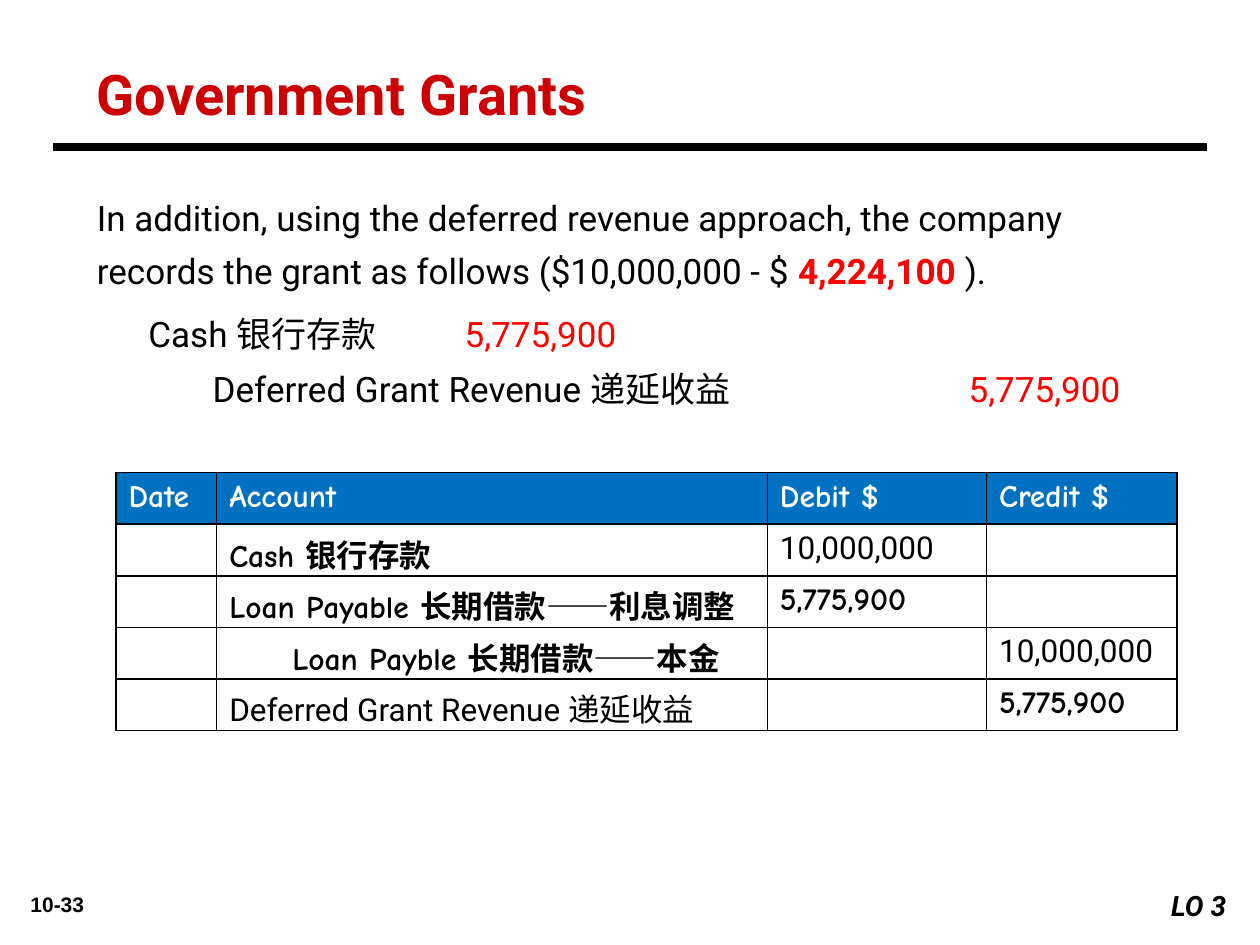
from dataclasses import dataclass

from lxml import etree
from pptx import Presentation
from pptx.dml.color import RGBColor
from pptx.enum.shapes import MSO_CONNECTOR, MSO_SHAPE
from pptx.enum.text import PP_ALIGN
from pptx.oxml.ns import qn
from pptx.util import Inches, Pt

CENTER, RIGHT = PP_ALIGN.CENTER, PP_ALIGN.RIGHT
STRAIGHT, RECTANGLE = MSO_CONNECTOR.STRAIGHT, MSO_SHAPE.RECTANGLE
COLORS = {"black": "000000", "white": "FFFFFF", "title": "CC0000",
          "amount": "FF0000", "header": "0070C0"}
BODY, TABLE_FONT, FOOTER_FONT = "Roboto", "Comic Neue", "Arial"


@dataclass
class Span:
    text: str
    color: str = "black"
    bold: bool = False


@dataclass
class Entry:
    text: str = ""
    font: str = TABLE_FONT
    level: int = 0


def rgb(name: str) -> RGBColor:
    return RGBColor.from_string(COLORS[name])


def write(para, spans: list[Span], *, size: float, font: str = BODY,
          italic: bool = False, align=None, line_spacing: float | None = None,
          space_before: float = 0, hanging: float = 0) -> None:
    props = para._p.get_or_add_pPr()
    if hanging:
        props.set("marL", str(Inches(hanging)))
        props.set("indent", str(-Inches(hanging)))
    props.set("defTabSz", str(Inches(1)))
    para.alignment = align
    para.line_spacing = line_spacing
    para.space_before = Pt(space_before)
    for span in spans:
        run = para.add_run()
        run.text = span.text
        run.font.name, run.font.size = font, Pt(size)
        run.font.bold, run.font.italic = span.bold, italic
        run.font.color.rgb = rgb(span.color)


def add_text(page, place: tuple, lines: list[list[Span]], **style) -> None:
    box = page.shapes.add_textbox(*map(Inches, place))
    frame = box.text_frame
    frame.word_wrap = True
    gap = style.pop("gap", 0)
    for index, spans in enumerate(lines):
        para = frame.add_paragraph() if index else frame.paragraphs[0]
        write(para, spans, space_before=gap if index else 0, **style)


def add_rule(page) -> None:
    rule = page.shapes.add_connector(
        STRAIGHT, Inches(0.42), Inches(1.17), Inches(9.58), Inches(1.17))
    rule.line.color.rgb = rgb("black")
    rule.line.width = Pt(4.5)
    etree.SubElement(rule._element.spPr, qn("a:effectLst"))


def add_objective(page) -> None:
    tag = page.shapes.add_shape(
        RECTANGLE, Inches(9), Inches(7), Inches(0.83), Inches(0.37))
    tag.shadow.inherit = False
    tag.fill.solid()
    tag.fill.fore_color.rgb = rgb("white")
    tag.line.fill.background()
    write(tag.text_frame.paragraphs[0], [Span("LO 3", bold=True)],
          size=16, italic=True, align=RIGHT, hanging=0.5)


def add_borders(cell) -> None:
    """Draw a one-point line on each side; lines precede the fill in tcPr."""
    props = cell._tc.get_or_add_tcPr()
    for index, side in enumerate(("lnL", "lnR", "lnT", "lnB")):
        line = etree.Element(qn(f"a:{side}"), w=str(Pt(1)))
        fill = etree.SubElement(line, qn("a:solidFill"))
        etree.SubElement(fill, qn("a:srgbClr"), val=COLORS["black"])
        props.insert(index, line)


def add_journal(page, rows: list[list[Entry]], widths: list[float],
                row_height: float) -> None:
    table = page.shapes.add_table(
        len(rows), len(widths), Inches(0.92), Inches(3.75),
        Inches(sum(widths)), Inches(row_height * len(rows))).table
    for column, width in zip(table.columns, widths):
        column.width = Inches(width)
    for row_index, entries in enumerate(rows):
        table.rows[row_index].height = Inches(row_height)
        is_header = row_index == 0
        for column_index, entry in enumerate(entries):
            cell = table.cell(row_index, column_index)
            cell.fill.solid()
            cell.fill.fore_color.rgb = rgb("header" if is_header else "white")
            add_borders(cell)
            para = cell.text_frame.paragraphs[0]
            para.font.size = Pt(18)
            if entry.text:
                if entry.level:
                    para.level = entry.level
                    para._p.get_or_add_pPr().set("marL", str(Inches(0.5)))
                span = Span(entry.text, "white" if is_header else "black",
                            entry.font == TABLE_FONT)
                write(para, [span], size=18, font=entry.font)


def main() -> None:
    deck = Presentation()
    deck.slide_width, deck.slide_height = Inches(10), Inches(7.5)
    page = deck.slides.add_slide(deck.slide_layouts[6])

    add_text(page, (0.08, 7.03, 0.75, 0.3), [[Span("10-33", bold=True)]],
             size=12, font=FOOTER_FONT, align=CENTER)
    add_text(page, (0.67, 1.43, 8.75, 0.9), [[
        Span("In addition, using the deferred revenue approach, the company "
             "records the grant as follows ($10,000,000 - $"),
        Span(" 4,224,100 ", "amount", True),
        Span(").")]], size=20, line_spacing=1.25)
    add_text(page, (0.67, 0.42, 9, 0.61),
             [[Span("Government Grants", "title", True)]],
             size=32, hanging=0.12)
    add_rule(page)
    add_objective(page)

    grant = Span("5,775,900", "amount")
    add_text(page, (1.08, 2.38, 8.17, 0.94), [
        [Span("Cash 银行存款\t"), grant],
        [Span("\tDeferred Grant Revenue 递延收益\t\t"), grant],
    ], size=20, line_spacing=1.15, gap=4, hanging=0.51)

    blank = Entry()
    principal, discount = Entry("10,000,000", BODY), Entry("5,775,900")
    add_journal(page, [
        [Entry("Date"), Entry("Account"), Entry("Debit $"), Entry("Credit $")],
        [blank, Entry("Cash 银行存款"), principal, blank],
        [blank, Entry("Loan Payable 长期借款——利息调整"), discount, blank],
        [blank, Entry("Loan Payble 长期借款——本金", level=1), blank, principal],
        [blank, Entry("Deferred Grant Revenue 递延收益", BODY), blank, discount],
    ], widths=[0.8, 4.37, 1.74, 1.51], row_height=0.41)

    deck.save("out.pptx")


if __name__ == "__main__":
    main()
